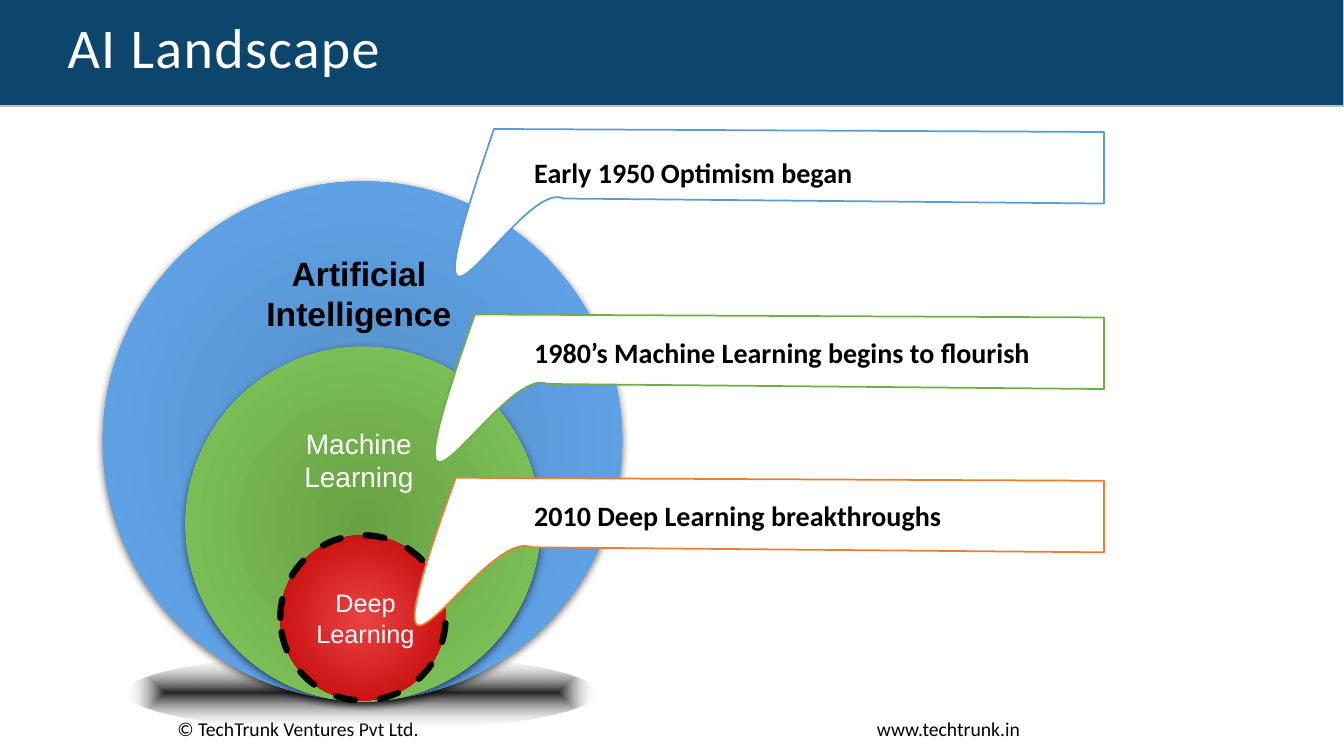
from dataclasses import dataclass

from lxml import etree
from pptx import Presentation
from pptx import util as u
from pptx.dml import color
from pptx.enum import dml, shapes, text
from pptx.oxml import ns

PX = 9144


@dataclass(frozen=True)
class Theme:
    head: str = "Calibri"
    disc: str = "Arial"
    band: str = "0C466D"
    edge: str = "BDBDBD"
    white: str = "FFFFFF"
    black: str = "000000"
    floor: tuple = ("262626", "FFFFFF")
    blue: tuple = ("5590C6", "62A8F2")
    green: tuple = ("68A142", "82CA5D")
    red: tuple = ("E94343", "C00000")
    notes: tuple = ("5B9BD5", "70AD47", "ED7D31")
    title: int = 40
    large: int = 24
    body: int = 20
    small: int = 18
    foot: int = 14


def rgb(code):
    return color.RGBColor.from_string(code)


def node(root, tag, **attrs):
    return etree.SubElement(root, ns.qn(tag), {k: str(v) for k, v in attrs.items()})


class Board:
    def __init__(self, deck, theme):
        self.theme = theme
        self.slide = deck.slides.add_slide(deck.slide_layouts[5])
        self.items = self.slide.shapes

    def box(self, *sides):
        return [u.Emu(n * PX) for n in sides]

    def add_words(self, para, words, size, font, ink, bold=False):
        run = para.add_run()
        run.text = words
        run.font.size = u.Pt(size)
        run.font.name = font
        run.font.bold = bold
        run.font.color.rgb = rgb(ink)
        return run

    def title(self, words, *sides):
        head = self.items.title
        head.left, head.top, head.width, head.height = self.box(*sides)
        self.items._spTree.append(head._element)
        frame = head.text_frame
        frame.auto_size = text.MSO_AUTO_SIZE.NONE
        frame.vertical_anchor = text.MSO_ANCHOR.MIDDLE
        para = frame.paragraphs[0]
        para.alignment = text.PP_ALIGN.LEFT
        para.line_spacing = 0.8
        run = self.add_words(para, words, self.theme.title, self.theme.head, self.theme.white)
        run._r.get_or_add_rPr().set("spc", "100")

    def label(self, words, sides, size, font, ink, bold=False, mid=False, wrap=True):
        frame = self.items.add_textbox(*self.box(*sides)).text_frame
        frame.word_wrap = wrap
        frame.auto_size = text.MSO_AUTO_SIZE.SHAPE_TO_FIT_TEXT
        para = frame.paragraphs[0]
        para.alignment = text.PP_ALIGN.CENTER if mid else text.PP_ALIGN.LEFT
        self.add_words(para, words, size, font, ink, bold)

    def paint(self, shape, fill, line, width):
        shape.shadow.inherit = False
        shape.fill.solid()
        shape.fill.fore_color.rgb = rgb(fill)
        shape.line.color.rgb = rgb(line)
        shape.line.width = u.Pt(width)

    def band(self, *sides):
        bar = self.items.add_shape(shapes.MSO_SHAPE.RECTANGLE, *self.box(*sides))
        self.paint(bar, self.theme.band, self.theme.edge, 1.25)

    def oval(self, sides, tones, mode="circle", focus=50, fade=False, glow=False, dash=False):
        disc = self.items.add_shape(shapes.MSO_SHAPE.OVAL, *self.box(*sides))
        disc.shadow.inherit = False
        props = disc._element.spPr
        grad = etree.Element(ns.qn("a:gradFill"), rotWithShape="1")
        stops = node(grad, "a:gsLst")
        for spot, tone in zip((0, 100000), tones):
            hue = node(node(stops, "a:gs", pos=spot), "a:srgbClr", val=tone)
            if fade and spot:
                node(hue, "a:alpha", val=0)
        way = node(grad, "a:path", path=mode)
        node(way, "a:fillToRect", **dict.fromkeys("ltrb", focus * 1000))
        props.insert(2, grad)
        if dash:
            disc.line.color.rgb = rgb(self.theme.black)
            disc.line.width = u.Pt(4.5)
            disc.line.dash_style = dml.MSO_LINE.DASH
            props.find(ns.qn("a:ln")).set("cap", "rnd")
        else:
            disc.line.fill.background()
        if glow:
            cast = node(props.find(ns.qn("a:effectLst")), "a:outerShdw",
                        blurRad=int(u.Pt(6)), dist=int(u.Pt(2)), dir=5400000,
                        algn="t", rotWithShape=0)
            node(node(cast, "a:srgbClr", val=self.theme.black), "a:alpha", val=60000)

    def callout(self, step, top, ink):
        start = (490 - 19 * step, top)
        foot = (559 - 16 * step, top + 69)
        curve = (foot, (515 - 18 * step, top + 47), (388 - 22 * step, top + 297), start)
        spots = [(1095, top + 3), (1095, top + 74), foot]
        count = 40
        for n in range(1, count):
            t = n / count
            parts = ((1 - t) ** 3, 3 * t * (1 - t) ** 2, 3 * t * t * (1 - t), t ** 3)
            spots.append(tuple(sum(w * p[axis] for w, p in zip(parts, curve))
                               for axis in (0, 1)))
        pen = self.items.build_freeform(start[0] * PX, start[1] * PX)
        pen.add_line_segments([(round(x * PX), round(y * PX)) for x, y in spots], close=True)
        self.paint(pen.convert_to_shape(), self.theme.white, ink, 1.25)


def main():
    deck = Presentation()
    deck.slide_width, deck.slide_height = u.Emu(1333 * PX), u.Emu(750 * PX)
    look = Theme()
    board = Board(deck, look)

    board.band(-13, -1, 1346, 106)
    for words, left, width in (("www.techtrunk.in", 860, 163),
                               ("© TechTrunk Ventures Pvt Ltd.", 166, 262)):
        board.label(words, (left, 706, width, 34), look.foot, look.head, look.black, wrap=False)
    board.title("AI Landscape", 57, 7, 1035, 90)

    board.oval((126, 649, 466, 76), look.floor, mode="shape", fade=True)
    board.oval((102, 180, 515, 515), look.blue, focus=100, glow=True)
    board.oval((184, 344, 352, 352), look.green, focus=100, glow=True)
    board.oval((278, 531, 164, 164), look.red, dash=True)
    for words, sides, size, ink, bold in (
        ("Artificial Intelligence", (238, 246, 236, 91), look.large, look.black, True),
        ("Machine Learning", (238, 418, 236, 77), look.body, look.white, False),
        ("Deep Learning", (274, 578, 177, 71), look.small, look.white, False),
    ):
        board.label(words, sides, size, look.disc, ink, bold, mid=True)

    notes = (
        ("Early 1950 Optimism began", 128, 149),
        ("1980’s Machine Learning begins to flourish", 312, 328),
        ("2010 Deep Learning breakthroughs", 474, 490),
    )
    for step, (note, ink) in enumerate(zip(notes, look.notes)):
        board.callout(step, note[1], ink)
    for words, _, top in notes:
        board.label(words, (520, top, 588, 44), look.body, look.head, look.black, True)

    deck.save("out.pptx")


if __name__ == "__main__":
    main()
